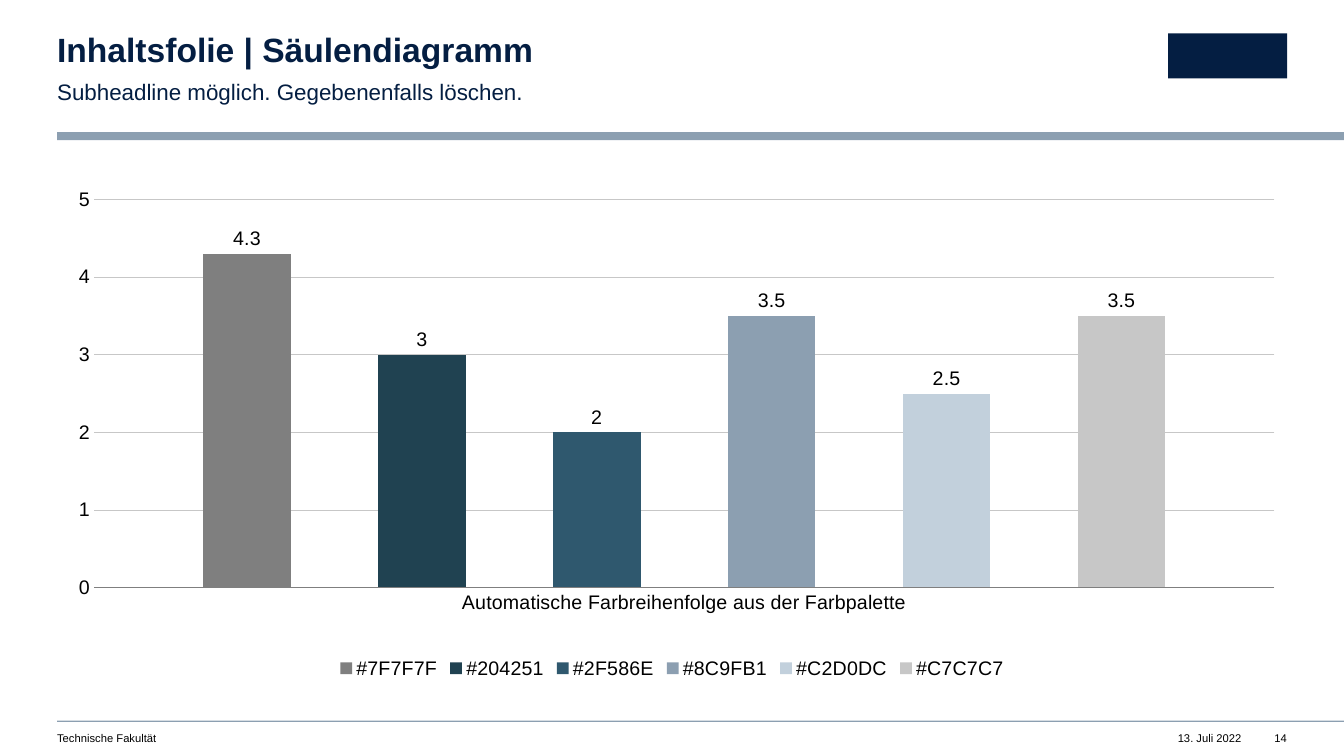
import pptx
import pptx.chart.data
import pptx.dml.color
import pptx.enum.chart
import pptx.enum.shapes
import pptx.enum.text
import pptx.oxml
import pptx.oxml.ns
import pptx.util

Cm = pptx.util.Cm
Pt = pptx.util.Pt
ALIGN = pptx.enum.text.PP_ALIGN

COLORS = {"navy": "041E42", "rule": "8C9FB1", "text": "000000", "axis": "7F7F7F", "grid": "C7C7C7"}
SLIDE_WIDTH, SLIDE_HEIGHT = 33.87, 19.05
MARGIN = 1.44
BAR_VALUES = {"7F7F7F": 4.3, "204251": 3, "2F586E": 2, "8C9FB1": 3.5, "C2D0DC": 2.5, "C7C7C7": 3.5}


def style_font(font, size, color, bold=False):
    font.name = "Arial"
    font.size = Pt(size)
    font.bold = bold
    font.color.rgb = pptx.dml.color.RGBColor.from_string(COLORS[color])


def place_text(box, bounds, text, size, color, align=ALIGN.LEFT, bold=False):
    box.left, box.top, box.width, box.height = [Cm(length) for length in bounds]
    frame = box.text_frame
    frame.margin_left = frame.margin_right = frame.margin_top = frame.margin_bottom = 0
    frame.word_wrap = True
    frame.auto_size = pptx.enum.text.MSO_AUTO_SIZE.NONE
    frame.vertical_anchor = pptx.enum.text.MSO_ANCHOR.TOP
    frame.text = text
    para = frame.paragraphs[0]
    para.alignment = align
    para.space_before = Pt(0)
    style_font(para.runs[0].font, size, color, bold)
    return para


deck = pptx.Presentation()
deck.slide_width, deck.slide_height = Cm(SLIDE_WIDTH), Cm(SLIDE_HEIGHT)
page = deck.slides.add_slide(deck.slide_layouts[1])

# Header and footer rules, plain block in the logo's place
for left, top, width, height, color in [
    (MARGIN, 3.33, SLIDE_WIDTH - MARGIN, 0.2, "rule"),
    (MARGIN, 18.16, SLIDE_WIDTH - MARGIN, 0.03, "rule"),
    (29.44, 0.84, 3, 1.14, "navy"),
]:
    block = page.shapes.add_shape(
        pptx.enum.shapes.MSO_SHAPE.RECTANGLE, Cm(left), Cm(top), Cm(width), Cm(height))
    block.shadow.inherit = False
    block.fill.solid()
    block.fill.fore_color.rgb = pptx.dml.color.RGBColor.from_string(COLORS[color])
    block.line.fill.background()

# Title and subheadline
title = place_text(page.shapes.title, (MARGIN, 0.84, 19.02, 0.91),
                   "Inhaltsfolie | Säulendiagramm", 24, "navy", bold=True)
title.line_spacing = 0.9

subheadline_box = page.placeholders[1]
subheadline = place_text(subheadline_box, (MARGIN, 1.9, 19.02, 0.69),
                         "Subheadline möglich. Gegebenenfalls löschen.", 16, "navy")
subheadline_box.text_frame.margin_right = Cm(1)
subheadline.line_spacing = 1.1
subheadline.space_after = Pt(12)
properties = subheadline._p.get_or_add_pPr()
properties.set("marL", "0")
properties.set("indent", "0")
properties.append(pptx.oxml.parse_xml("<a:buNone %s/>" % pptx.oxml.ns.nsdecls("a")))

# Footer
for text, left, width, align in [
    ("Technische Fakultät", MARGIN, 15.19, ALIGN.LEFT),
    ("13. Juli 2022", 28.93, 2.36, ALIGN.RIGHT),
    ("14", 31.9, 0.53, ALIGN.RIGHT),
]:
    footer_box = page.shapes.add_textbox(0, 0, 0, 0)
    place_text(footer_box, (left, 18.44, width, 0.33), text, 8, "text", align)

# Column chart
chart_data = pptx.chart.data.CategoryChartData()
chart_data.categories = ["Automatische Farbreihenfolge aus der Farbpalette"]
for color, value in BAR_VALUES.items():
    chart_data.add_series("#" + color, [value])
chart = page.shapes.add_chart(
    pptx.enum.chart.XL_CHART_TYPE.COLUMN_CLUSTERED,
    Cm(MARGIN), Cm(4.52), Cm(30.99), Cm(12.7), chart_data).chart
chart.has_title = False
style_font(chart.font, 14, "text")

plot = chart.plots[0]
plot.vary_by_categories = False
plot.gap_width = 250
plot.overlap = -100
for series, color in zip(plot.series, BAR_VALUES):
    series.format.fill.solid()
    series.format.fill.fore_color.rgb = pptx.dml.color.RGBColor.from_string(color)
    labels = series.data_labels
    labels.show_value = True
    labels.position = pptx.enum.chart.XL_LABEL_POSITION.OUTSIDE_END
    style_font(labels.font, 14, "text")

# Axes and legend
value_axis, category_axis = chart.value_axis, chart.category_axis
value_axis.minimum_scale, value_axis.maximum_scale, value_axis.major_unit = 0, 5, 1
value_axis.has_major_gridlines = True
value_axis.format.line.fill.background()
for axis in (value_axis, category_axis):
    axis.major_tick_mark = axis.minor_tick_mark = pptx.enum.chart.XL_TICK_MARK.NONE
    style_font(axis.tick_labels.font, 14, "text")
for line, color in [(category_axis.format.line, "axis"),
                    (value_axis.major_gridlines.format.line, "grid")]:
    line.width = Pt(0.5)
    line.color.rgb = pptx.dml.color.RGBColor.from_string(COLORS[color])

chart.has_legend = True
chart.legend.position = pptx.enum.chart.XL_LEGEND_POSITION.BOTTOM
chart.legend.include_in_layout = False
style_font(chart.legend.font, 14, "text")

# Fixed inner plot area, as fractions of the chart
plot_area = chart._chartSpace.chart.plotArea
for layout in plot_area.findall(pptx.oxml.ns.qn("c:layout")):
    plot_area.remove(layout)
plot_area.insert(0, pptx.oxml.parse_xml(
    '<c:layout %s><c:manualLayout><c:layoutTarget val="inner"/>'
    '<c:xMode val="edge"/><c:yMode val="edge"/><c:x val="0.03"/><c:y val="0.04"/>'
    '<c:w val="0.96"/><c:h val="0.77"/></c:manualLayout></c:layout>' % pptx.oxml.ns.nsdecls("c")))

deck.save("out.pptx")
